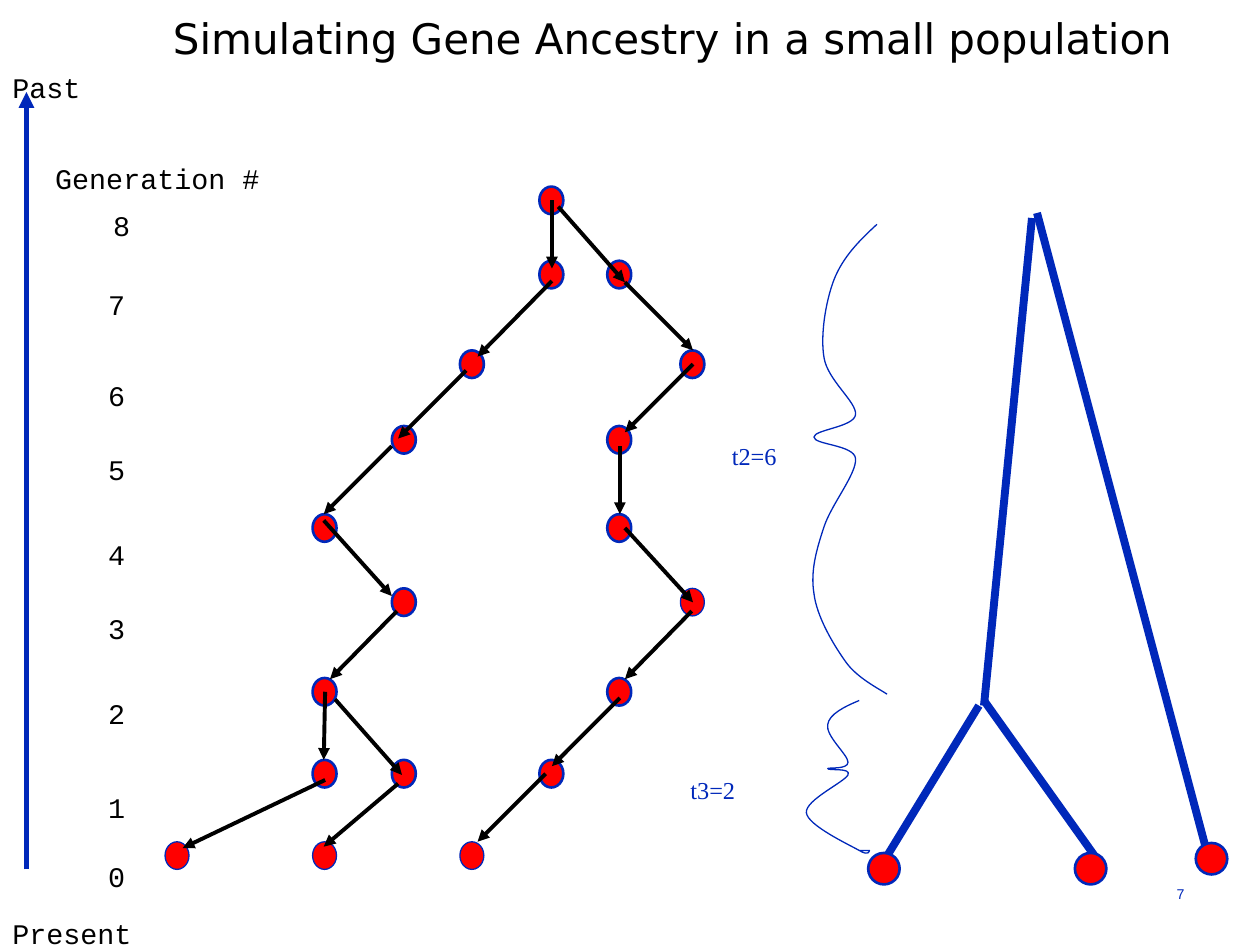
from lxml import etree
from pptx import Presentation
from pptx.dml.color import RGBColor
from pptx.enum import shapes, text
from pptx.oxml.ns import qn
from pptx.util import Pt

COLORS = {"ink": "000000", "blue": "0028BA", "red": "FF0000"}
MONO, SERIF, SANS = "Courier New", "Times New Roman", "Arial"
LOWERED = "-33000"

# Gene lineages: columns and rows of the node grid
COLUMNS = [94.3, 178.6, 223.9, 262.8, 308.2, 347, 388.8]
ROWS = [481, 434.2, 387.4, 336.2, 293.8, 243.4, 200.2, 149, 106.6]
LABEL_TOPS = [466.6, 427, 373, 324.7, 282.2, 234, 191.5, 139.7, 94.3]
GENERATIONS = [(0, 1, 3), (1, 2, 4), (1, 5), (2, 6), (1, 5), (2, 5), (3, 6), (4, 5), (4,)]
DESCENTS = [
    (185.8, 445.7, 104.4, 484.6), (311.8, 442.1, 272.9, 481),
    (185.8, 395.3, 185, 434.2), (354.2, 398.9, 315.4, 437.8),
    (226.8, 349.2, 188.6, 388.1), (395.3, 349.2, 357.1, 388.1),
    (357.1, 301.7, 396, 344.2), (185, 297.4, 223.9, 340.6),
    (223.9, 254.9, 185, 293.8), (354.2, 254.9, 354.2, 293.8),
    (266.4, 211.7, 227.5, 250.6), (396, 208.1, 357.1, 247),
    (319, 118.1, 357.1, 161.3), (315.4, 114.5, 315.4, 153.4),
    (227.5, 447.8, 185, 483.8), (315.4, 160.6, 272.9, 203.8),
    (357.1, 161.3, 396, 200.2), (191.5, 399.6, 229.7, 442.8)]

# Coalescent tree
BRANCHES = [(506.2, 490.3, 559.4, 403.2), (562.3, 400.3, 626.4, 490.3),
            (562.3, 403.2, 589.7, 124.6), (592.6, 121.7, 689.8, 487.4)]
LEAVES = [(496.1, 487.4), (683.3, 481.7), (614.2, 487.4)]

# Braces: start point, then two control points and an end for each curve
BRACE_T3 = [
    (491, 400.3), (482.4, 403.9), (473.8, 408.2), (473, 414),
    (471.6, 420.5), (484.6, 431.3), (484.6, 435.6),
    (484.6, 439.9), (473, 438.5), (473, 439.2),
    (473, 440.6), (486.7, 438.5), (484.6, 442.8),
    (482.4, 447.1), (460.1, 457.2), (460.8, 464.4),
    (461.5, 471.6), (484.6, 482.4), (491, 486),
    (496.8, 489.6), (496.8, 486), (496.8, 486),
    (496.8, 486), (491, 486), (491, 486),
    (491, 486), (496.1, 486), (496.8, 486)]
BRACE_T2 = [
    (501.1, 128.2), (491, 137.5), (481.7, 146.9), (476.6, 159.8),
    (471.6, 172.8), (468.7, 192.2), (470.9, 204.5),
    (473, 217.4), (489.6, 229.7), (488.9, 236.9),
    (488.2, 244.1), (465.1, 245.5), (465.1, 249.8),
    (465.1, 254.2), (488.2, 254.2), (488.9, 262.1),
    (489.6, 270.7), (475.2, 288), (470.9, 301),
    (466.6, 313.9), (463, 326.2), (465.1, 339.1),
    (466.6, 352.1), (475.9, 367.9), (483.1, 378),
    (489.6, 387.4), (502.6, 393.8), (506.9, 396.7)]


def color(name):
    return RGBColor.from_string(COLORS[name])


def add_label(page, words, left, top, width, height, size, font, ink="ink",
              align=text.PP_ALIGN.LEFT, lowered=True, grow=True):
    box = page.shapes.add_textbox(Pt(left), Pt(top), Pt(width), Pt(height))
    frame = box.text_frame
    frame.word_wrap = True
    frame.auto_size = (text.MSO_AUTO_SIZE.SHAPE_TO_FIT_TEXT if grow
                       else text.MSO_AUTO_SIZE.NONE)
    frame.text = words
    para = frame.paragraphs[0]
    para.alignment = align
    span = para.runs[0]
    span.font.size, span.font.name = Pt(size), font
    span.font.color.rgb = color(ink)
    if lowered:
        span._r.get_or_add_rPr().set("baseline", LOWERED)
    return box


def add_line(page, ends, ink, weight, arrow=False):
    line = page.shapes.add_connector(
        shapes.MSO_CONNECTOR.STRAIGHT, *[Pt(value) for value in ends])
    line.line.color.rgb = color(ink)
    line.line.width = Pt(weight)
    if arrow:
        etree.SubElement(line.line._get_or_add_ln(), qn("a:tailEnd"), type="triangle")
    etree.SubElement(line._element.spPr, qn("a:effectLst"))


def add_gene(page, left, top, width, height, weight):
    gene = page.shapes.add_shape(
        shapes.MSO_SHAPE.OVAL, Pt(left), Pt(top), Pt(width), Pt(height))
    gene.shadow.inherit = False
    gene.fill.solid()
    gene.fill.fore_color.rgb = color("red")
    gene.line.color.rgb = color("blue")
    gene.line.width = Pt(weight)


def add_brace(page, points):
    builder = page.shapes.build_freeform(*points[0], scale=Pt(1))
    scaled = [(round(x * 100), round(y * 100)) for x, y in points]
    builder = page.shapes.build_freeform(*scaled[0], scale=Pt(1) / 100)
    builder.add_line_segments(scaled[1:], close=False)
    brace = builder.convert_to_shape()
    brace.shadow.inherit = False
    brace.fill.background()
    brace.line.color.rgb = color("blue")
    brace.line.width = Pt(0.75)
    # Turn each three segments into one cubic curve
    segments = list(brace._element.iter(qn("a:lnTo")))
    for start in range(0, len(segments), 3):
        curve = etree.Element(qn("a:cubicBezTo"))
        segments[start].addprevious(curve)
        for segment in segments[start:start + 3]:
            curve.append(segment[0])
            segment.getparent().remove(segment)


def shift(ends, x, y):
    return ends[0] + x, ends[1] + y, ends[2] + x, ends[3] + y


def heading(page, x, y):
    title = add_label(page, "Simulating Gene Ancestry in a small population",
                      x, y, 648, 42.5, 24, "DejaVu Sans",
                      align=text.PP_ALIGN.CENTER, lowered=False, grow=False)
    title.text_frame.vertical_anchor = text.MSO_ANCHOR.MIDDLE


def time_axis(page, x, y):
    add_label(page, "Present", x, y + 483.1, 123.8, 41, 28, MONO)
    add_label(page, "Past", x, y, 82.1, 41, 28, MONO)
    add_line(page, (x + 15.1, y + 481, x + 15.1, y + 36.8), "blue", 3, arrow=True)
    add_label(page, "Generation #", x + 24.5, y + 51.8, 199.4, 41, 28, MONO)


def pedigree(page, x, y):
    for number, columns in enumerate(GENERATIONS):
        left = 57.6 if number == 8 else 54.7
        add_label(page, str(number), x + left, y + LABEL_TOPS[number], 33.1, 41, 28, MONO)
        for column in columns:
            thin = number == 0 or (number, column) == (3, 6)
            add_gene(page, x + COLUMNS[column], y + ROWS[number], 13.7, 15.8,
                     0.75 if thin else 1.5)
    for ends in DESCENTS:
        add_line(page, shift(ends, x, y), "ink", 2.25, arrow=True)


def coalescent_tree(page, x, y):
    for ends in BRANCHES:
        add_line(page, shift(ends, x, y), "blue", 4.5)
    for points, words, left, top, width in [
            (BRACE_T3, "t3=2", 387.4, 421.2, 75.6),
            (BRACE_T2, "t2=6", 411.1, 230.4, 69.8)]:
        add_brace(page, [(px + x, py + y) for px, py in points])
        add_label(page, words, x + left, y + top, width, 36, 24, SERIF, "blue")
    for left, top in LEAVES:
        add_gene(page, x + left, y + top, 18, 18, 1.5)


def page_number(page, x, y):
    add_label(page, "7", x, y, 167.8, 37.4, 14, SANS, "blue",
              align=text.PP_ALIGN.RIGHT, grow=False)


deck = Presentation()
deck.slide_width, deck.slide_height = Pt(720), Pt(540)
page = deck.slides.add_slide(deck.slide_layouts[6])
page_number(page, 516.2, 491.8)
heading(page, 60.5, 0)
time_axis(page, 0, 15.8)
pedigree(page, 0, 0)
coalescent_tree(page, 0, 0)
deck.save("out.pptx")
